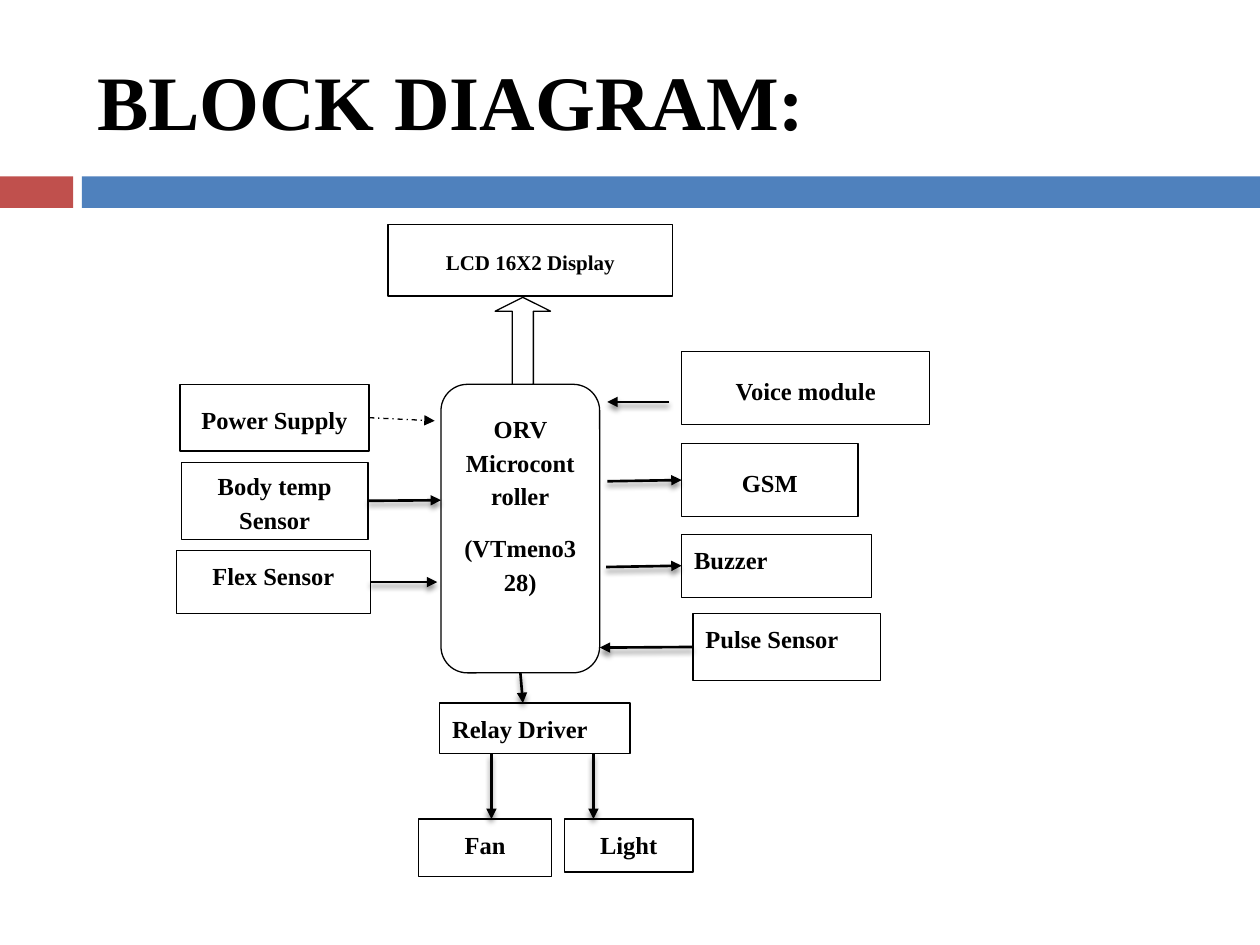
from typing import NamedTuple, Optional

from lxml.etree import SubElement
from pptx import Presentation
from pptx.dml.color import RGBColor
from pptx.enum.dml import MSO_LINE
from pptx.enum.shapes import MSO_CONNECTOR, MSO_SHAPE
from pptx.enum.text import MSO_ANCHOR, PP_ALIGN
from pptx.oxml.ns import qn
from pptx.util import Inches, Pt

FONT = "Times New Roman"
BLACK, WHITE = "000000", "FFFFFF"
TOP, MID = MSO_ANCHOR.TOP, MSO_ANCHOR.MIDDLE
LEFT, CENTER = PP_ALIGN.LEFT, PP_ALIGN.CENTER
RECT = MSO_SHAPE.RECTANGLE


class Block(NamedTuple):
    text: str
    box: tuple
    anchor: MSO_ANCHOR = MID
    align: PP_ALIGN = CENTER
    size: int = 14
    kind: MSO_SHAPE = RECT


class Link(NamedTuple):
    """An arrow; source and target are (block, side) pairs to join."""
    start: tuple
    end: tuple
    source: Optional[tuple] = None
    target: Optional[tuple] = None
    dashed: bool = False


BLOCKS = {
    "core": Block("ORV Microcontroller\n(VTmeno328)", (3.5, 3.05, 1.26, 2.29),
                  kind=MSO_SHAPE.ROUNDED_RECTANGLE),
    "lcd": Block("LCD 16X2 Display", (3.08, 1.78, 2.26, 0.57), size=12),
    "power": Block("Power Supply", (1.43, 3.05, 1.5, 0.53)),
    "temp": Block("Body temp Sensor", (1.44, 3.67, 1.48, 0.61)),
    "flex": Block("Flex Sensor", (1.4, 4.37, 1.54, 0.5), TOP),
    "voice": Block("Voice module", (5.41, 2.79, 1.97, 0.58)),
    "gsm": Block("GSM", (5.41, 3.52, 1.4, 0.58)),
    "buzzer": Block("Buzzer", (5.41, 4.24, 1.51, 0.5), TOP, LEFT),
    "pulse": Block("Pulse Sensor", (5.5, 4.87, 1.49, 0.53), TOP, LEFT),
    "relay": Block("Relay Driver", (3.49, 5.58, 1.51, 0.4), TOP, LEFT),
    "fan": Block("Fan", (3.32, 6.5, 1.06, 0.46), TOP),
    "light": Block("Light", (4.48, 6.5, 1.02, 0.42), TOP),
}

LINKS = [
    Link((2.93, 3.31), (3.45, 3.34), source=("power", 3), dashed=True),
    Link((2.92, 3.97), (3.5, 3.97), source=("temp", 3)),
    Link((2.94, 4.62), (3.47, 4.62), source=("flex", 3)),
    Link((5.31, 3.19), (4.82, 3.19)),
    Link((4.82, 3.82), (5.41, 3.81), target=("gsm", 1)),
    Link((4.81, 4.5), (5.41, 4.49), target=("buzzer", 1)),
    Link((5.5, 5.14), (4.76, 5.14), source=("pulse", 1)),
    Link((4.13, 5.34), (4.15, 5.58), source=("core", 2)),
    Link((3.9, 5.98), (3.9, 6.5)),
    Link((4.71, 5.98), (4.71, 6.5)),
]


def color(code: str) -> RGBColor:
    return RGBColor.from_string(code)


def style(runs, size: int) -> None:
    for run in runs:
        run.font.name = FONT
        run.font.size = Pt(size)
        run.font.bold = True
        run.font.color.rgb = color(BLACK)


def draw_shape(slide, kind, box: tuple, fill: str, edge: bool = True):
    shape = slide.shapes.add_shape(kind, *map(Inches, box))
    shape.shadow.inherit = False
    shape.fill.solid()
    shape.fill.fore_color.rgb = color(fill)
    if edge:
        shape.line.color.rgb = color(BLACK)
        shape.line.width = Pt(0.75)
    else:
        shape.line.fill.background()
    return shape


def draw_block(slide, block: Block):
    shape = draw_shape(slide, block.kind, block.box, WHITE)
    frame = shape.text_frame
    frame.word_wrap = True
    frame.vertical_anchor = block.anchor
    frame.text = block.text
    for para in frame.paragraphs:
        para.alignment = block.align
        para.line_spacing = 1.15
        para.space_after = Pt(10)
        style(para.runs, block.size)
    return shape


def add_shadow(effects) -> None:
    shadow = SubElement(effects, qn("a:outerShdw"), blurRad=str(Pt(3)),
                        dist=str(Pt(2.4)), dir="5400000", rotWithShape="0")
    tint = SubElement(shadow, qn("a:srgbClr"), val=BLACK)
    SubElement(tint, qn("a:alpha"), val="45000")


def draw_link(slide, link: Link, shapes: dict) -> None:
    line = slide.shapes.add_connector(
        MSO_CONNECTOR.STRAIGHT, *map(Inches, link.start + link.end))
    if link.source:
        name, side = link.source
        line.begin_connect(shapes[name], side)
    if link.target:
        name, side = link.target
        line.end_connect(shapes[name], side)
    line.line.color.rgb = color(BLACK)
    line.line.width = Pt(0.75 if link.dashed else 1.5)
    if link.dashed:
        line.line.dash_style = MSO_LINE.DASH_DOT
    props = line._element.spPr
    SubElement(props.find(qn("a:ln")), qn("a:tailEnd"), type="triangle")
    effects = SubElement(props, qn("a:effectLst"))
    if not link.dashed:
        add_shadow(effects)


def draw_title(slide, text: str) -> None:
    title = slide.shapes.title
    title.left, title.top = Inches(0.67), Inches(0.25)
    title.width, title.height = Inches(8.92), Inches(1.08)
    frame = title.text_frame
    frame.text = text
    frame.vertical_anchor = MID
    para = frame.paragraphs[0]
    para.alignment = LEFT
    style(para.runs, 44)


def main() -> None:
    deck = Presentation()
    deck.slide_width, deck.slide_height = Inches(10), Inches(7.5)
    slide = deck.slides.add_slide(deck.slide_layouts[5])

    draw_shape(slide, RECT, (0, 1.4, 0.58, 0.25), "C0504D", edge=False)
    draw_shape(slide, RECT, (0.65, 1.4, 9.35, 0.25), "4F81BD", edge=False)
    draw_title(slide, "BLOCK DIAGRAM:")

    shapes = {name: draw_block(slide, block) for name, block in BLOCKS.items()}
    shapes["core"].text_frame.margin_bottom = Inches(0.46)

    arrow = draw_shape(slide, MSO_SHAPE.UP_ARROW, (3.93, 2.36, 0.44, 0.69), WHITE)
    arrow.adjustments[0] = 0.38
    arrow.adjustments[1] = 0.25
    for link in LINKS:
        draw_link(slide, link, shapes)
    deck.save("out.pptx")


if __name__ == "__main__":
    main()
